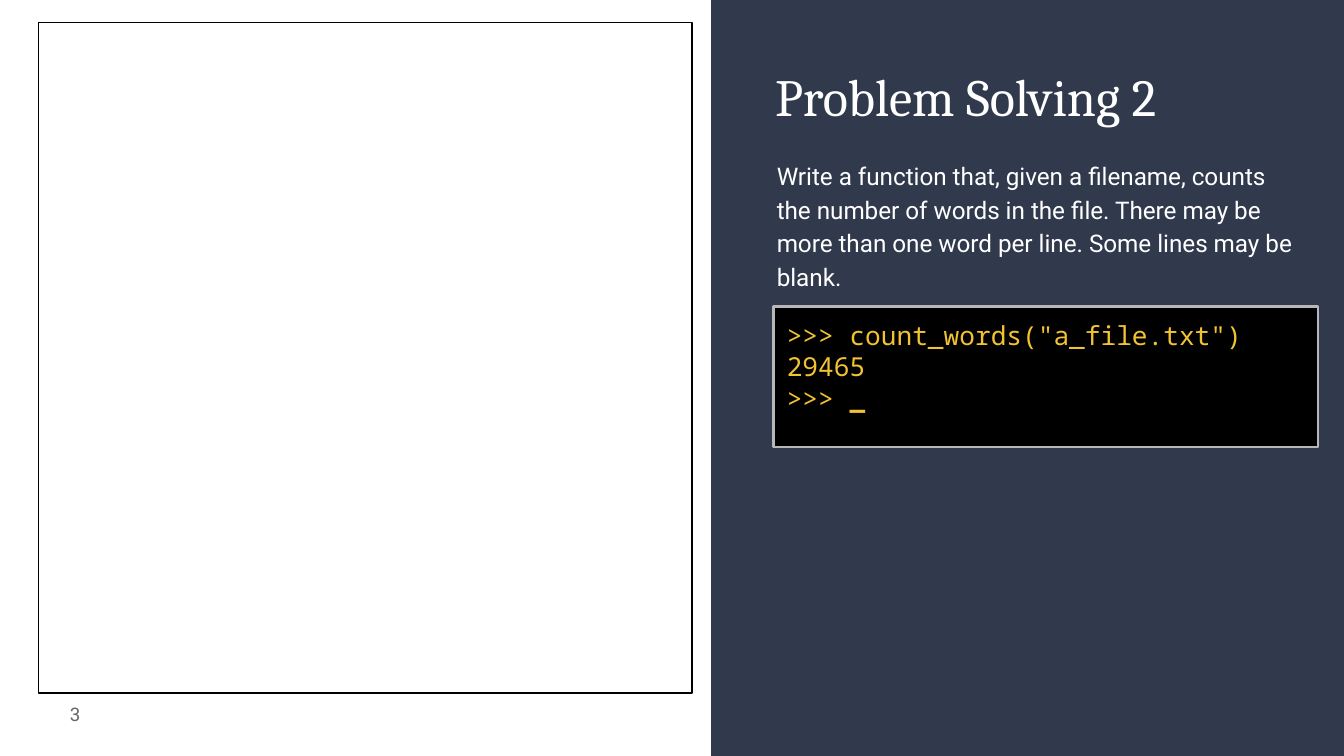
from dataclasses import dataclass
from lxml.etree import SubElement
from pptx import Presentation
from pptx.dml.color import RGBColor
from pptx.enum.shapes import MSO_SHAPE
from pptx.enum.text import MSO_ANCHOR, MSO_AUTO_SIZE, PP_ALIGN
from pptx.oxml.ns import qn
from pptx.util import Cm, Pt


@dataclass(frozen=True)
class Theme:
    navy: str = "31394D"
    white: str = "FFFFFF"
    black: str = "000000"
    silver: str = "B7B7B7"
    gold: str = "F1C232"
    gray: str = "666666"
    head: int = 28
    body: int = 13
    code: int = 14
    small: int = 10


theme = Theme()


def paint(shape, fill=None, line=None, width=0.75):
    shape.shadow.inherit = False
    if fill:
        shape.fill.solid()
        shape.fill.fore_color.rgb = RGBColor.from_string(fill)
    else:
        shape.fill.background()
    if line:
        shape.line.color.rgb = RGBColor.from_string(line)
        shape.line.width = Pt(width)
    else:
        shape.line.fill.background()


def write(shape, lines, face, size, color, align=PP_ALIGN.LEFT, anchor=MSO_ANCHOR.TOP):
    frame = shape.text_frame
    frame.text = "\n".join(lines)
    frame.word_wrap = True
    frame.auto_size = MSO_AUTO_SIZE.NONE
    frame.vertical_anchor = anchor
    frame.margin_left = frame.margin_right = Cm(0.25)
    frame.margin_top = frame.margin_bottom = Cm(0.25)
    for para in frame.paragraphs:
        para.alignment = align
        para.space_before = Pt(0)
        para.font.name = face
        para.font.size = Pt(size)
        para.font.color.rgb = RGBColor.from_string(color)
    return frame.paragraphs


deck = Presentation()
deck.slide_width, deck.slide_height = Cm(25.4), Cm(14.29)
slide = deck.slides.add_slide(deck.slide_layouts[1])
shapes = slide.shapes
title, body = slide.placeholders

left, wide = Cm(13.44), Cm(11.98)
panel = shapes.add_shape(MSO_SHAPE.RECTANGLE, left, 0, wide, deck.slide_height)
pen = shapes.build_freeform(left, 0)
pen.add_line_segments([(left + wide, 0), (left + wide, Cm(9.75)), (left, Cm(13.56))])
wedge = pen.convert_to_shape()
for back in (wedge, panel):
    paint(back, theme.navy)
    title.element.getparent().insert(2, back.element)

title.left, title.top, title.width, title.height = Cm(14.4), Cm(0.97), Cm(10.29), Cm(1.78)
write(title, ["Problem Solving 2"], "Cambria", theme.head, theme.white)

body.left, body.top, body.width, body.height = Cm(14.43), Cm(2.72), Cm(10.29), Cm(2.57)
task = write(body, [
    "Write a function that, given a filename, counts the number of words in the file. "
    "There may be more than one word per line. Some lines may be blank."
], "Roboto", theme.body, theme.white)[0]
task.line_spacing = 1.15
task.space_after = Pt(16)
props = task.font.fill._xPr.getparent()
props.set("marL", "0")
props.set("indent", "0")
bullet = SubElement(props, qn("a:buNone"))
props.find(qn("a:defRPr")).addprevious(bullet)

number = shapes.add_textbox(Cm(0.25), Cm(12.95), Cm(1.52), Cm(1.09))
write(number, ["3"], "Roboto", theme.small, theme.gray, PP_ALIGN.RIGHT, MSO_ANCHOR.MIDDLE)

board = shapes.add_shape(MSO_SHAPE.RECTANGLE, Cm(0.73), Cm(0.43), Cm(12.35), Cm(12.67))
paint(board, line=theme.black)

shell = shapes.add_shape(MSO_SHAPE.RECTANGLE, Cm(14.62), Cm(5.79), Cm(10.29), Cm(2.66))
paint(shell, theme.black, theme.silver, 1.5)
lines = ['>>> count_words("a_file.txt")', "29465", ">>> "]
prompt = write(shell, lines, "Noto Sans Mono", theme.code, theme.gold)[-1]
mark = prompt.add_run()
mark.text = "_"
mark.font.bold = True

deck.save("out.pptx")
